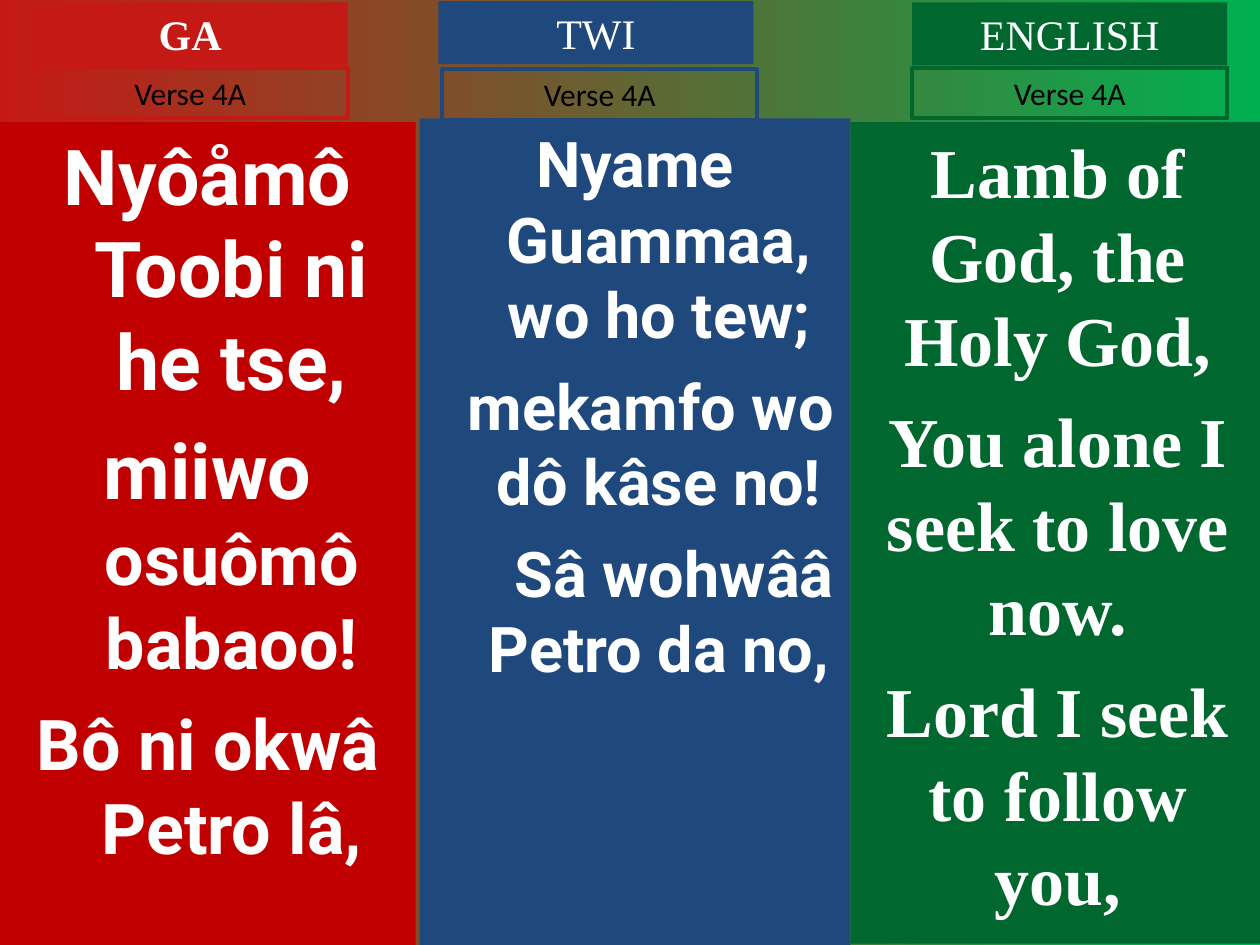
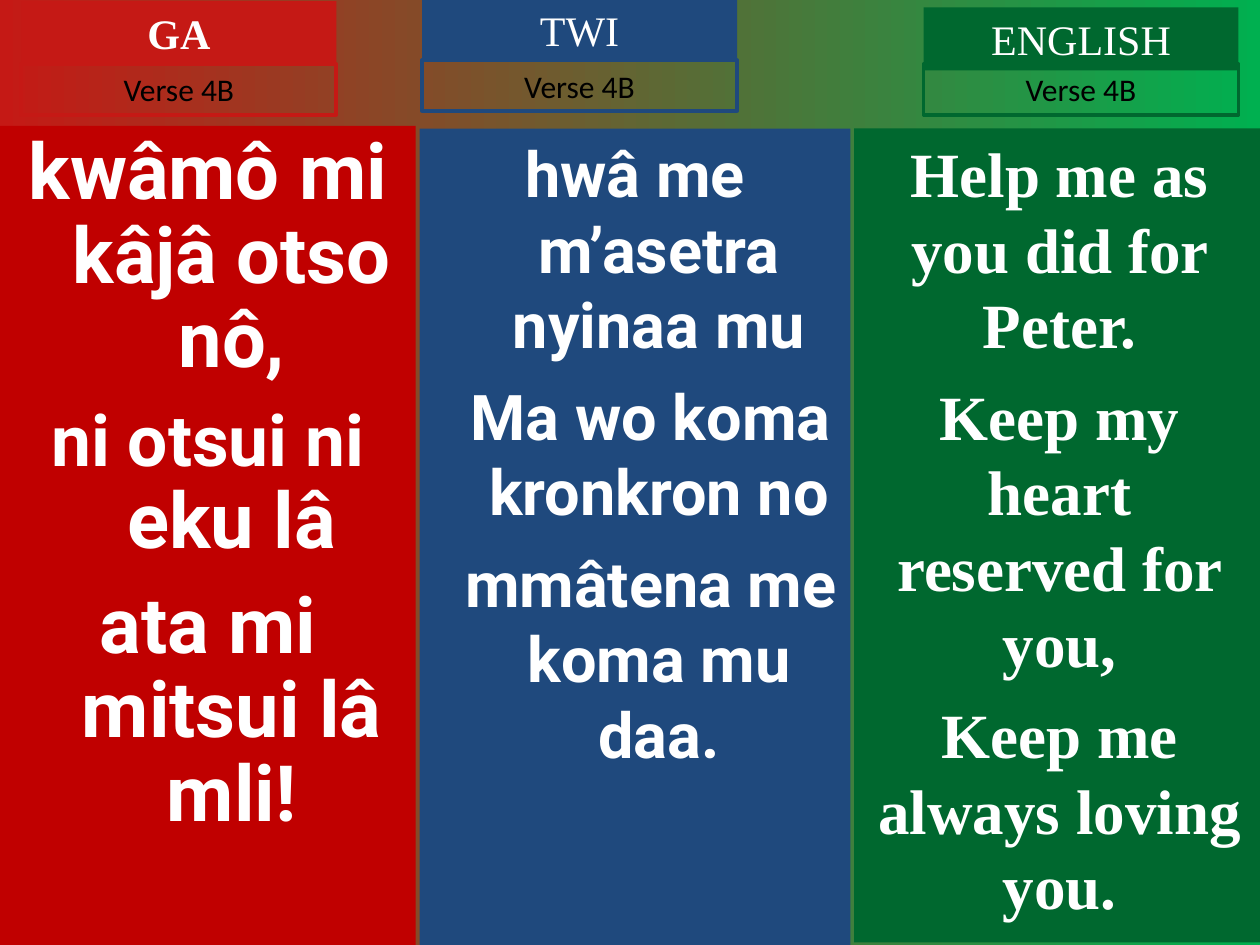
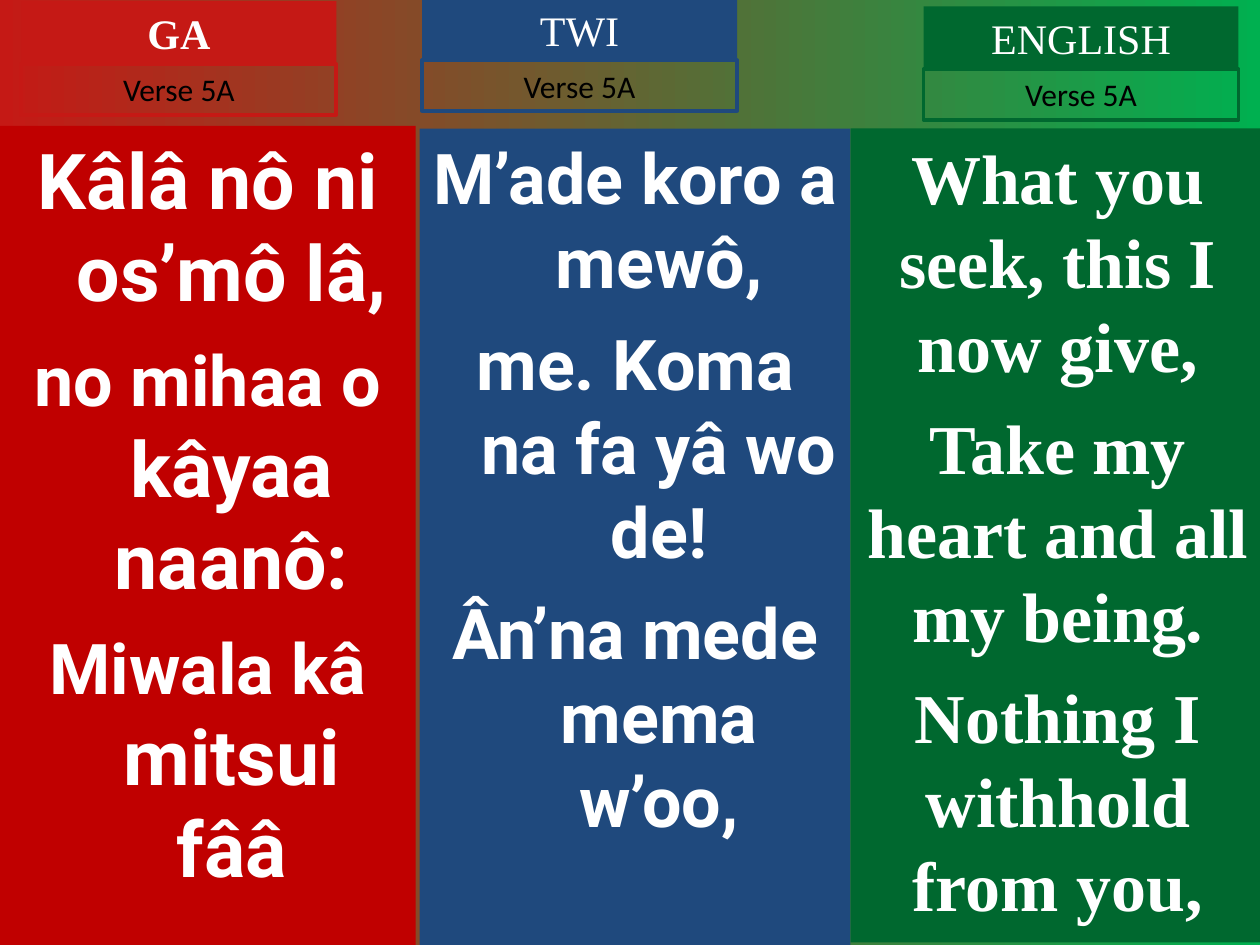
from dataclasses import dataclass

from pptx import Presentation
from pptx.dml.color import RGBColor
from pptx.enum.shapes import MSO_SHAPE
from pptx.enum.text import MSO_ANCHOR, MSO_AUTO_SIZE, PP_ALIGN
from pptx.util import Inches, Pt


@dataclass(frozen=True)
class Theme:
    red: str = "C51915"
    deep_red: str = "C00000"
    blue: str = "1F497D"
    green: str = "00682F"
    bright_green: str = "00B050"
    white: str = "FFFFFF"
    black: str = "000000"
    title_font: str = "Times New Roman"
    title_size: float = 24
    label_font: str = "Calibri"
    label_size: float = 18
    label_border: float = 2.25


theme = Theme()
HANGING = 0.38
HEADER_WIDTH, TITLE_HEIGHT, LABEL_HEIGHT = 2.5, 0.5, 0.4

# name, header colour, panel colour, verse font, bold title, hanging indent
LANGUAGES = [
    ("GA", theme.red, theme.deep_red, "Roboto", True, HANGING),
    ("TWI", theme.blue, theme.blue, "Roboto", False, HANGING),
    ("ENGLISH", theme.green, theme.green, "Times New Roman", False, 0),
]

# Per language: panel place, title corner, label corner, space before,
# line spacing, then lines of (extra first-line indent, (text, size), ...)
VERSES = [
    ("Verse 4A", [
        ((0, 0.97, 3.3, 6.53), (0.26, 0.02), (0.26, 0.54), 10, 1, [
            (0, ("Nyôåmô Toobi ni he tse,", 44)),
            (0, ("miiwo ", 44), ("osuômô babaoo!", 40)),
            (0, ("Bô ni okwâ Petro lâ,", 40))]),
        ((3.33, 0.94, 3.42, 6.56), (3.48, 0.01), (3.51, 0.55), 9, 1, [
            (0, ("Nyame Guammaa, wo ho tew;", 36)),
            (0.25, ("mekamfo wo dô kâse no!", 36)),
            (0.62, ("Sâ wohwââ Petro da no,", 36))]),
        ((6.75, 0.97, 3.29, 6.52), (7.24, 0.02), (7.24, 0.54), 10, 1, [
            (0, ("Lamb of God, the Holy God,", 40)),
            (0, ("You alone I seek to love now.", 40)),
            (0, ("Lord I seek to follow you,", 40))]),
    ]),
    ("Verse 4B", [
        ((0, 1, 3.3, 6.5), (0.17, 0.01), (0.17, 0.51), 12, 0.9, [
            (0, ("kwâmô mi kâjâ otso nô,", 44.4)),
            (0, ("ni otsui ni ", 40.7), ("eku lâ", 44.4)),
            (0, ("ata mi mitsui lâ mli!", 44.4))]),
        ((3.33, 1.02, 3.42, 6.48), (3.35, -0.01), (3.35, 0.48), 9, 1, [
            (0, ("hwâ me m’asetra nyinaa mu", 36)),
            (0.25, ("Ma wo koma kronkron no", 36)),
            (0.25, ("mmâtena me koma mu daa.", 36))]),
        ((6.78, 1.02, 3.26, 6.46), (7.33, 0.06), (7.33, 0.51), 9, 1, [
            (0, ("Help me as you did for Peter.", 36)),
            (0, ("Keep my heart reserved for you,", 36)),
            (0, ("Keep me always loving you.", 36))]),
    ]),
    ("Verse 5A", [
        ((0, 1, 3.3, 6.5), (0.17, 0.01), (0.17, 0.51), 11, 1, [
            (0, ("Kâlâ nô ni os’mô lâ,", 44)),
            (0, ("no mihaa o ", 40), ("kâyaa naanô:", 44)),
            (0, ("Miwala kâ ", 40), ("mitsui fââ", 44))]),
        ((3.33, 1.02, 3.42, 6.48), (3.35, -0.01), (3.35, 0.48), 10, 1, [
            (0, ("M’ade koro a mewô,", 40)),
            (0, ("me. Koma na fa yâ wo de!", 40)),
            (0, ("Ân’na mede mema w’oo,", 40))]),
        ((6.75, 1.02, 3.29, 6.46), (7.33, 0.05), (7.33, 0.55), 10, 1, [
            (0, ("What you seek, this I now give,", 40)),
            (0, ("Take my heart and all my being.", 40)),
            (0, ("Nothing I withhold from you,", 40))]),
    ]),
]


def add_box(page, place, fill=None, border=None):
    """Add a top-anchored rectangle, filled or only outlined."""
    box = page.shapes.add_shape(MSO_SHAPE.RECTANGLE, *map(Inches, place))
    box.shadow.inherit = False
    if fill:
        box.fill.solid()
        box.fill.fore_color.rgb = RGBColor.from_string(fill)
    else:
        box.fill.background()
    if border:
        box.line.color.rgb = RGBColor.from_string(border)
        box.line.width = Pt(theme.label_border)
    else:
        box.line.fill.background()
    box.text_frame.word_wrap = True
    box.text_frame.vertical_anchor = MSO_ANCHOR.TOP
    return box


def format_paragraph(paragraph, font, color, bold):
    paragraph.alignment = PP_ALIGN.CENTER
    for span in paragraph.runs:
        span.font.name = font
        span.font.bold = bold
        span.font.color.rgb = RGBColor.from_string(color)


deck = Presentation()
deck.slide_width, deck.slide_height = Inches(10), Inches(7.5)

for verse_name, columns in VERSES:
    page = deck.slides.add_slide(deck.slide_layouts[6])
    background = page.background.fill
    background.gradient()
    background.gradient_angle = 0
    for stop, color in zip(background.gradient_stops, (theme.red, theme.bright_green)):
        stop.color.rgb = RGBColor.from_string(color)

    for language, column in zip(LANGUAGES, columns):
        name, header_color, panel_color, verse_font, bold_title, hanging = language
        panel_place, title_corner, label_corner, space, spacing, lines = column

        panel = add_box(page, panel_place, fill=panel_color)
        for index, (lead, *parts) in enumerate(lines):
            frame = panel.text_frame
            paragraph = frame.add_paragraph() if index else frame.paragraphs[0]
            properties = paragraph._p.get_or_add_pPr()
            properties.set("marL", str(Inches(hanging)))
            properties.set("indent", str(Inches(lead - hanging)))
            paragraph.line_spacing = spacing
            paragraph.space_before = Pt(space if index else 0)
            for text, size in parts:
                span = paragraph.add_run()
                span.text = text
                span.font.size = Pt(size)
            format_paragraph(paragraph, verse_font, theme.white, True)

        title = add_box(page, (*title_corner, HEADER_WIDTH, TITLE_HEIGHT), fill=header_color)
        label = add_box(page, (*label_corner, HEADER_WIDTH, LABEL_HEIGHT), border=header_color)
        for box, text, font, size, color, bold in (
            (title, name, theme.title_font, theme.title_size, theme.white, bold_title),
            (label, verse_name, theme.label_font, theme.label_size, theme.black, False),
        ):
            box.text_frame.text = text
            box.text_frame.auto_size = MSO_AUTO_SIZE.SHAPE_TO_FIT_TEXT
            paragraph = box.text_frame.paragraphs[0]
            format_paragraph(paragraph, font, color, bold)
            paragraph.runs[0].font.size = Pt(size)

deck.save("out.pptx")
